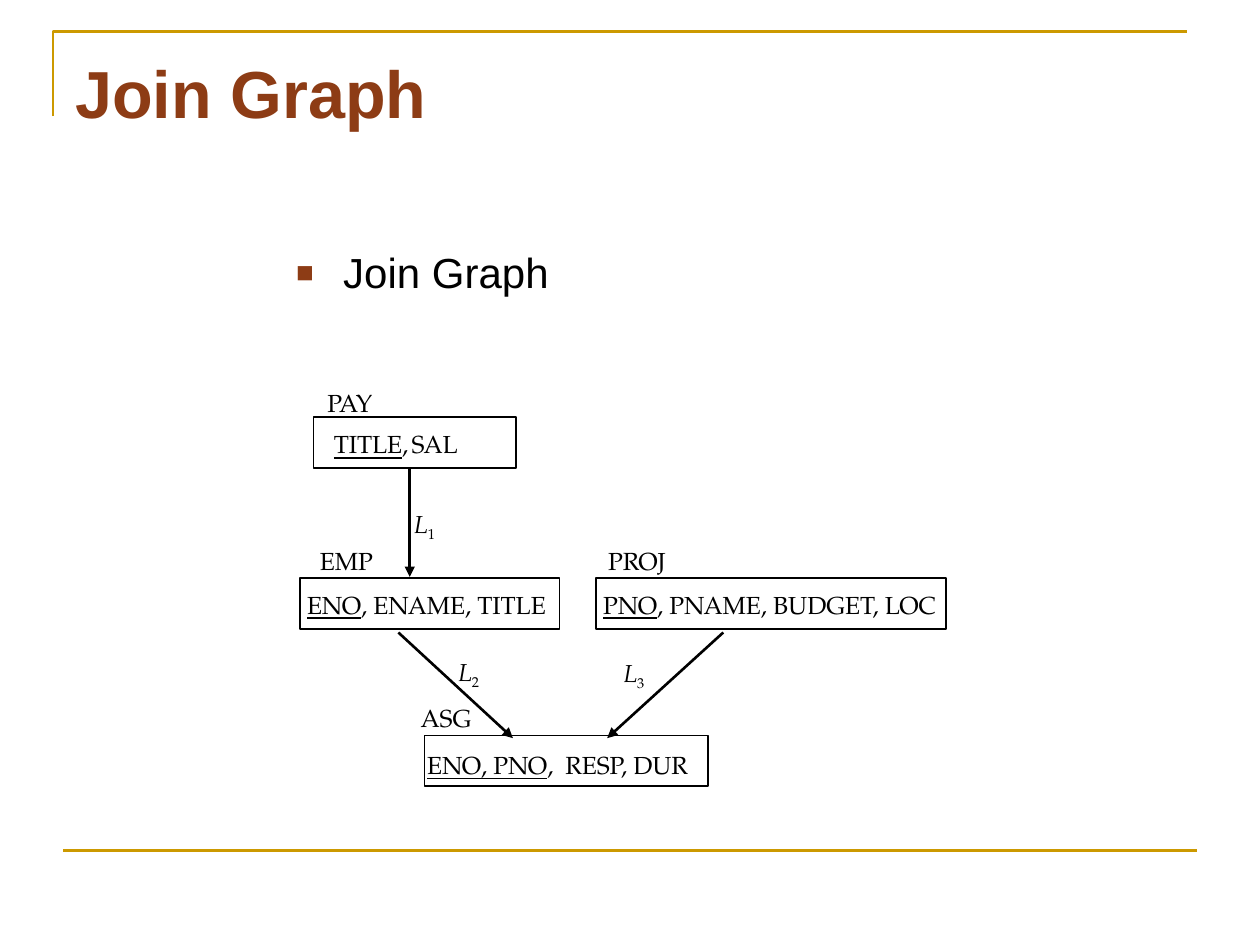
from dataclasses import dataclass

from pptx import Presentation
from pptx import util as u
from pptx.dml.color import RGBColor
from pptx.enum import shapes, text
from pptx.oxml import parse_xml
from pptx.oxml.ns import nsdecls
from pptx.util import Cm

BLACK, GOLD, BROWN = "000000", "CC9900", "8D3C15"
SERIF, SANS = "TeX Gyre Pagella", "Arial"
BOX_HEIGHT, LABEL_HEIGHT = 1.02, 0.84


@dataclass
class Label:
    """Text whose first part is the key (or link letter), then the rest."""
    left: float
    top: float
    width: float
    lead: str = ""
    rest: str = ""


@dataclass
class Relation:
    left: float
    top: float
    width: float
    name: Label
    attributes: list[Label]


@dataclass
class Join:
    start: tuple[float, float]
    end: tuple[float, float]
    label: Label


RELATIONS = [
    Relation(6.32, 8.41, 4.09, Label(6.35, 7.7, 1.52, rest="PAY"),
             [Label(6.48, 8.53, 2.03, "TITLE", ","),
              Label(8.05, 8.53, 1.47, rest="SAL")]),
    Relation(6.05, 11.66, 5.23, Label(6.2, 10.87, 1.6, rest="EMP"),
             [Label(5.94, 11.76, 5.41, "ENO", ", ENAME, TITLE")]),
    Relation(12.01, 11.66, 7.06, Label(12.01, 10.87, 1.7, rest="PROJ"),
             [Label(11.91, 11.76, 7.39, "PNO", ", PNAME, BUDGET, LOC")]),
    Relation(8.56, 14.83, 5.72, Label(8.23, 14.05, 1.55, rest="ASG"),
             [Label(8.36, 14.99, 3.1, "ENO, PNO", ","),
              Label(11.15, 14.99, 3.07, rest="RESP, DUR")]),
]
JOINS = [
    Join((8.26, 9.42), (8.26, 11.63), Label(8.1, 10.13, 0.97, "L", "1")),
    Join((8.03, 12.75), (10.34, 14.88), Label(8.99, 13.11, 0.97, "L", "2")),
    Join((14.58, 12.75), (12.24, 14.88), Label(12.32, 13.13, 0.97, "L", "3")),
]


def rgb(code: str) -> RGBColor:
    return RGBColor.from_string(code)


def style(font, name: str, size: float, color: str) -> None:
    font.name, font.size = name, u.Pt(size)
    font.color.rgb = rgb(color)


def outline(shape, color: str, width: float) -> None:
    shape.line.color.rgb = rgb(color)
    shape.line.width = u.Pt(width)


def draw_line(slide, start, end, color: str, arrow: bool = False) -> None:
    line = slide.shapes.add_connector(
        shapes.MSO_CONNECTOR.STRAIGHT, *map(Cm, (*start, *end)))
    outline(line, color, 1.5)
    if arrow:
        line.line._get_or_add_ln().append(
            parse_xml(f'<a:tailEnd {nsdecls("a")} type="triangle"/>'))
    line._element.spPr.append(parse_xml(f'<a:effectLst {nsdecls("a")}/>'))


def draw_label(slide, label: Label, link: bool = False) -> None:
    frame = slide.shapes.add_textbox(
        *map(Cm, (label.left, label.top, label.width, LABEL_HEIGHT))).text_frame
    frame.word_wrap = False
    frame.auto_size = text.MSO_AUTO_SIZE.SHAPE_TO_FIT_TEXT
    for part in filter(None, (label.lead, label.rest)):
        run = frame.paragraphs[0].add_run()
        run.text = part
        style(run.font, SERIF, 14.1, BLACK)
        is_lead = part == label.lead
        if link and is_lead:
            run.font.italic = True
        elif link:
            run.font._element.set("baseline", "-25000")
        elif is_lead:
            run.font.underline = True


def draw_relation(slide, relation: Relation) -> None:
    box = slide.shapes.add_shape(
        shapes.MSO_SHAPE.RECTANGLE,
        *map(Cm, (relation.left, relation.top, relation.width, BOX_HEIGHT)))
    box.shadow.inherit = False
    box.fill.background()
    outline(box, BLACK, 1)
    for label in [relation.name, *relation.attributes]:
        draw_label(slide, label)


def draw_join(slide, join: Join) -> None:
    draw_line(slide, join.start, join.end, BLACK, arrow=True)
    draw_label(slide, join.label, link=True)


def draw_heading(slide, place, words: str, size: float, color: str):
    frame = slide.shapes.add_textbox(*map(Cm, place)).text_frame
    frame.word_wrap = True
    frame.text = words
    style(frame.paragraphs[0].runs[0].font, SANS, size, color)
    return frame


def add_bullet(paragraph) -> None:
    properties = paragraph._p.get_or_add_pPr()
    properties.set("marL", str(Cm(0.95)))
    properties.set("indent", str(Cm(-0.95)))
    for item in (f'<a:buClr {nsdecls("a")}><a:srgbClr val="{BROWN}"/></a:buClr>',
                 f'<a:buSzPct {nsdecls("a")} val="70000"/>',
                 f'<a:buFont {nsdecls("a")} typeface="{SANS}"/>',
                 f'<a:buChar {nsdecls("a")} char="■"/>'):
        properties.append(parse_xml(item))


def main() -> None:
    deck = Presentation()
    deck.slide_width, deck.slide_height = Cm(25.4), Cm(19.05)
    slide = deck.slides.add_slide(deck.slide_layouts[6])

    # Gold corner frame and bottom rule
    corner = slide.shapes.build_freeform(Cm(1.07), Cm(2.34))
    corner.add_line_segments(
        [(Cm(1.07), Cm(0.64)), (Cm(23.93), Cm(0.64))], close=False)
    frame = corner.convert_to_shape()
    frame.shadow.inherit = False
    frame.fill.background()
    outline(frame, GOLD, 1.5)
    draw_line(slide, (1.27, 17.15), (24.13, 17.15), GOLD)

    # Title and bullet
    title = draw_heading(slide, (1.27, 0.76, 22.86, 3.18), "Join Graph", 38, BROWN)
    title.margin_top = Cm(0.28)
    title.paragraphs[0].runs[0].font.bold = True
    topic = draw_heading(slide, (5.72, 4.85, 6.53, 1.57), "Join Graph", 24, BLACK)
    topic.paragraphs[0].space_before = u.Pt(3)
    add_bullet(topic.paragraphs[0])

    # Join graph
    for relation in RELATIONS:
        draw_relation(slide, relation)
    for join in JOINS:
        draw_join(slide, join)

    deck.save("out.pptx")


if __name__ == "__main__":
    main()
